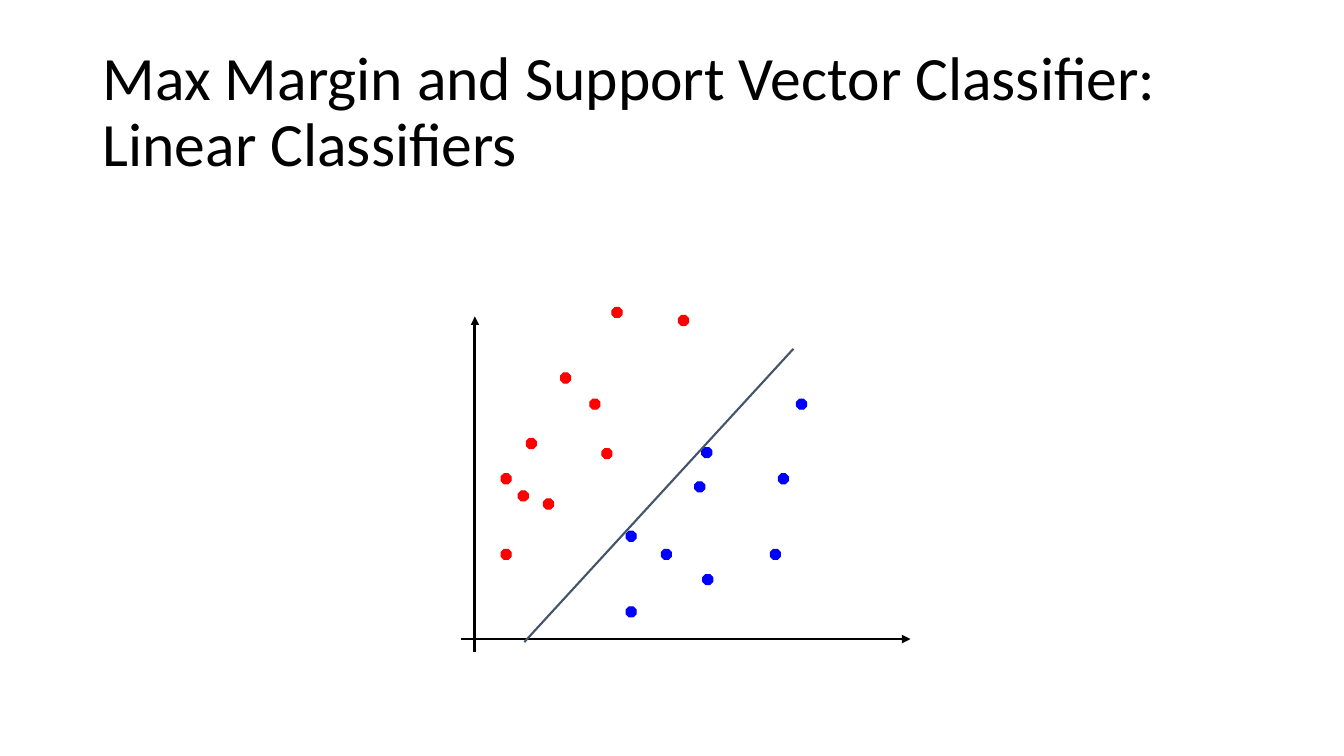
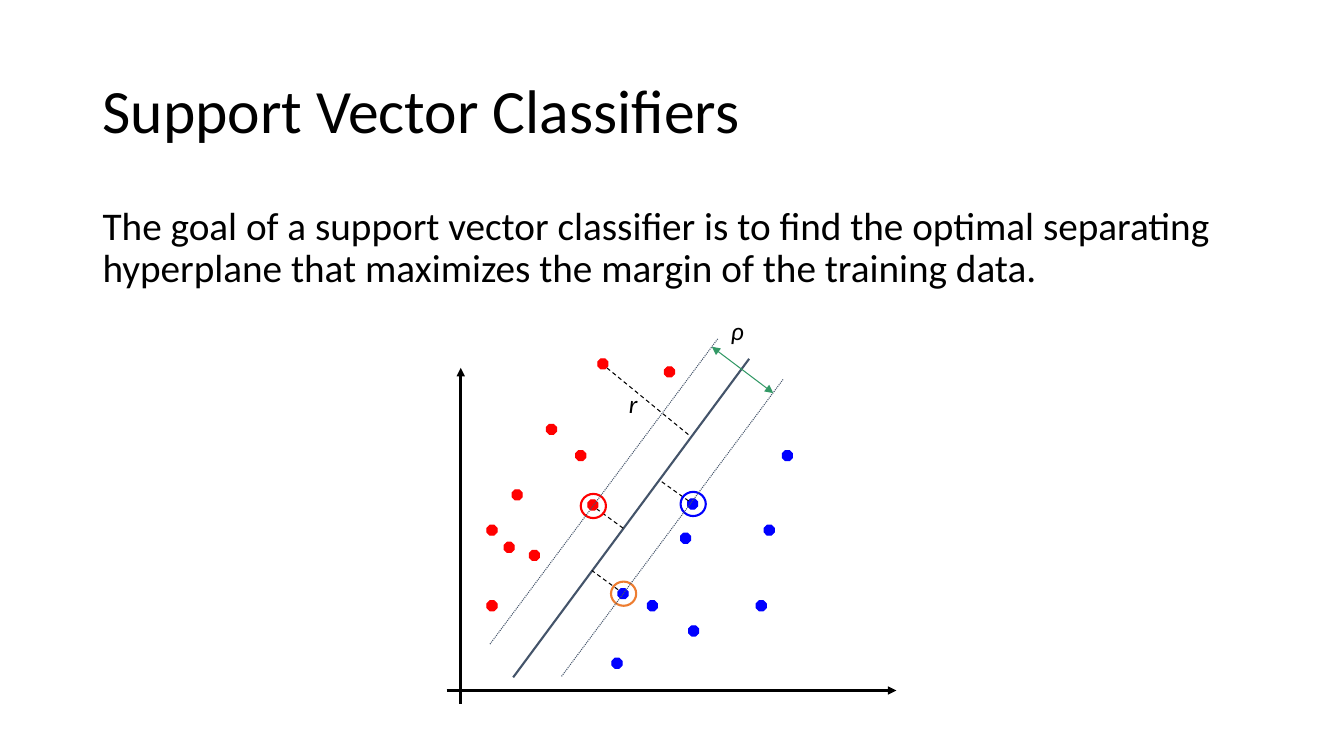
from lxml.etree import SubElement
from pptx import Presentation
from pptx.dml.color import RGBColor
from pptx.enum.dml import MSO_LINE as Dash
from pptx.enum.shapes import MSO_CONNECTOR as Connector, MSO_SHAPE as Shape
from pptx.enum.text import MSO_ANCHOR as Anchor
from pptx.oxml.ns import qn
from pptx.util import Pt

SCALE = 9144
FONT = "Calibri"
BLACK, RED, BLUE = "000000", "FF0000", "0000FF"
SLATE, ORANGE, GREEN = "44546A", "ED7D31", "339966"
TITLE_BOX = (92, 40, 1150, 145)
BODY_BOX = (92, 200, 1150, 476)
DOT = 10
RED_DOTS = [(128, 91), (65, 130), (82, 190), (40, 240), (99, 65),
            (40, 165), (57, 182), (140, 140), (150, 0), (216, 8)]
BLUE_DOTS = [(239, 139), (199, 240), (307, 240), (164, 297),
             (232, 173), (240, 265), (315, 165), (333, 91)]


def px(*lengths):
    """Turn px lengths into EMU."""
    return [length * SCALE for length in lengths]


def color(value):
    """Turn a hex string into a colour."""
    return RGBColor.from_string(value)


def add_text(page, box, text, size=18, italic=False, anchor=Anchor.TOP, line=1.0, before=0):
    """Place one paragraph of text in a box."""
    frame = page.shapes.add_textbox(*px(*box)).text_frame
    frame.word_wrap = True
    frame.vertical_anchor = anchor
    para = frame.paragraphs[0]
    para.text = text
    para.line_spacing = line
    para.space_before = Pt(before)
    for span in para.runs:
        span.font.name = FONT
        span.font.size = Pt(size)
        span.font.italic = italic
        span.font.color.rgb = color(BLACK)


def add_title(page, text):
    """Place the slide title."""
    add_text(page, TITLE_BOX, text, size=44, anchor=Anchor.MIDDLE, line=0.9)


def add_mark(page, kind, box, stroke, width, fill=None):
    """Place an outlined shape, filled when a fill is given."""
    mark = page.shapes.add_shape(kind, *px(*box))
    mark.shadow.inherit = False
    if fill:
        mark.fill.solid()
        mark.fill.fore_color.rgb = color(fill)
    else:
        mark.fill.background()
    mark.line.color.rgb = color(stroke)
    mark.line.width = Pt(width)


def add_line(page, origin, start, end, stroke=BLACK, width=0.75, dash=None, arrows=()):
    """Draw a line between two points relative to an origin."""
    left, top = origin
    ends = px(left + start[0], top + start[1], left + end[0], top + end[1])
    link = page.shapes.add_connector(Connector.STRAIGHT, *ends)
    link.line.color.rgb = color(stroke)
    link.line.width = Pt(width)
    if dash:
        link.line.dash_style = dash
    outline = link.line._get_or_add_ln()
    for arrow in arrows:
        SubElement(outline, qn(f"a:{arrow}"), type="triangle")
    SubElement(link._element.spPr, qn("a:effectLst"))


def add_scatter(page, origin, near_dot):
    """Draw the axes and both classes of training points."""
    left, top = origin
    add_line(page, origin, (14, 342), (14, 9), width=2, arrows=["tailEnd"])
    add_line(page, origin, (0, 329), (446, 329), width=2, arrows=["tailEnd"])
    for dots, fill in ((RED_DOTS, RED), (BLUE_DOTS + [near_dot], BLUE)):
        for x, y in dots:
            add_mark(page, Shape.OCTAGON, (left + x, top + y, DOT, DOT), fill, 0.75, fill)


def add_margin(page, origin):
    """Draw the hyperplane, its margin and the support vectors."""
    left, top = origin
    add_line(page, origin, (66, 316), (300, 0), SLATE, 1.5)
    for start, end in (((159, 9), (242, 77)), ((240, 141), (212, 121)),
                       ((170, 229), (144, 210)), ((175, 168), (149, 149))):
        add_line(page, origin, start, end, dash=Dash.DASH)
    for x, y, stroke in ((133, 134, RED), (163, 221, ORANGE), (232, 132, BLUE)):
        add_mark(page, Shape.OVAL, (left + x, top + y, 25, 24), stroke, 1.5)
    for start, end in (((114, 315), (334, 20)), ((43, 283), (269, -20))):
        add_line(page, origin, start, end, SLATE, dash=Dash.ROUND_DOT)
    add_line(page, origin, (263, -12), (324, 34), GREEN, arrows=["headEnd", "tailEnd"])
    for text, x, y, width in (("r", 171, 24, 54), ("ρ", 272, -48, 125)):
        add_text(page, (left + x, top + y, width, 40), text, italic=True, before=9)


def build_linear(page):
    """Build the slide on linear classifiers."""
    origin = (457, 305)
    add_title(page, "Max Margin and Support Vector Classifier:\nLinear Classifiers")
    add_scatter(page, origin, (164, 222))
    add_line(page, origin, (63, 332), (330, 41), SLATE, 1.5)


def build_support(page):
    """Build the slide on support vector classifiers."""
    origin = (443, 356)
    add_text(page, BODY_BOX,
             "The goal of a support vector classifier is to find the optimal separating "
             "hyperplane that maximizes the margin of the training data.",
             size=28, line=0.9, before=10)
    add_title(page, "Support Vector Classifiers")
    add_scatter(page, origin, (170, 228))
    add_margin(page, origin)


def main():
    """Build and save the deck."""
    deck = Presentation()
    deck.slide_width, deck.slide_height = px(1333, 750)
    for build in (build_linear, build_support):
        build(deck.slides.add_slide(deck.slide_layouts[6]))
    deck.save("out.pptx")


if __name__ == "__main__":
    main()
